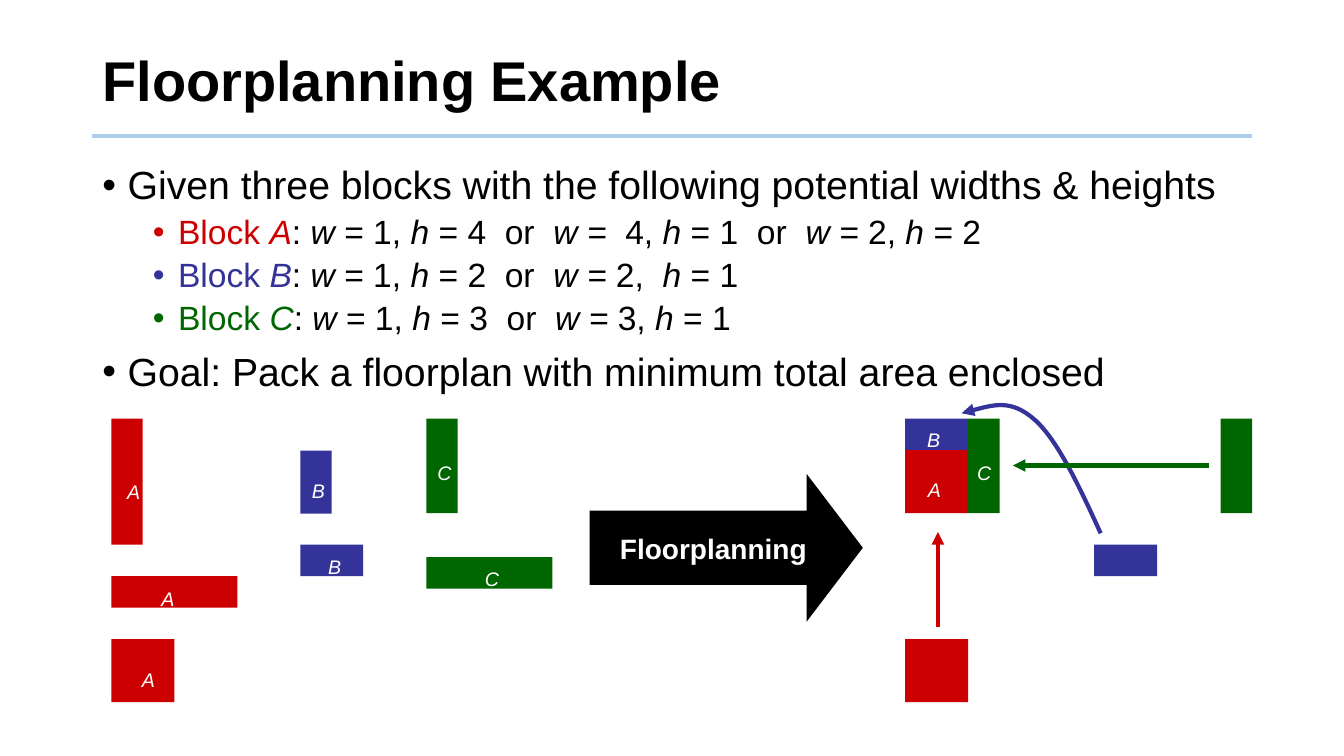
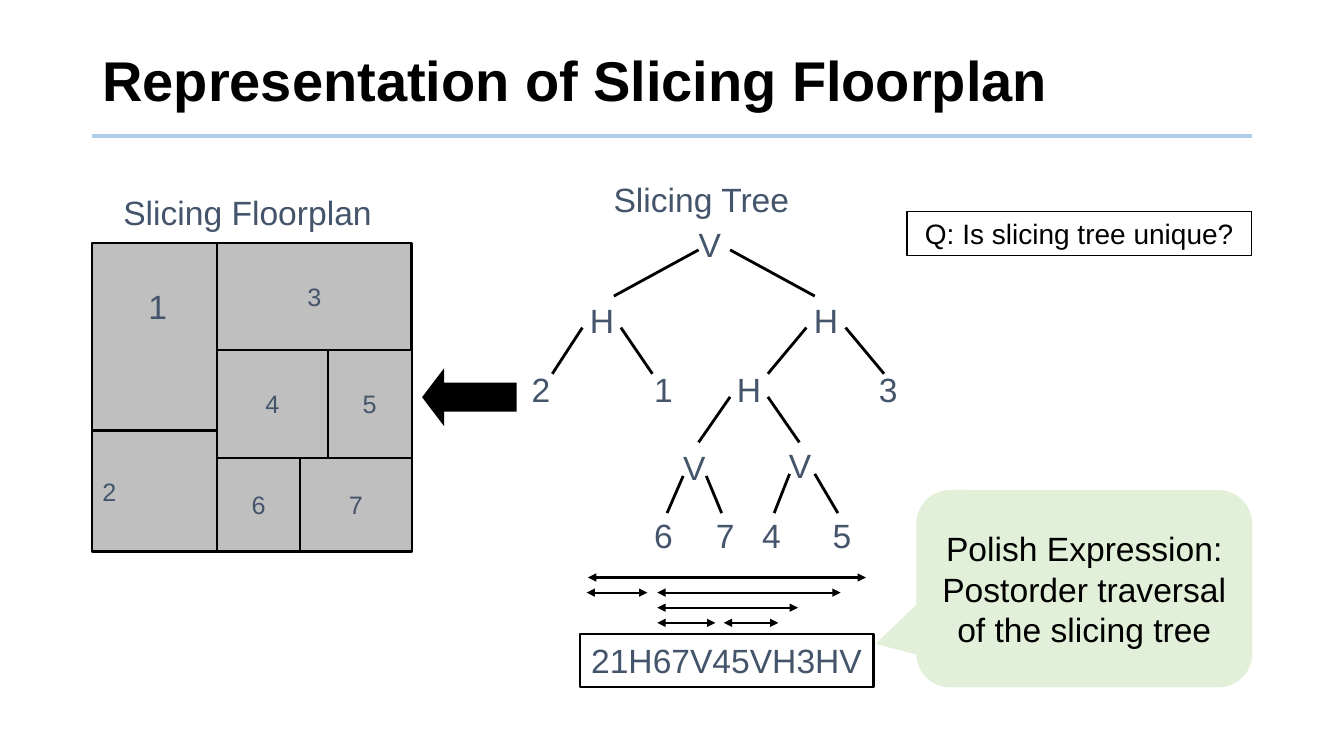
from lxml import etree
from pptx import Presentation
from pptx import util as u
from pptx.dml.color import RGBColor
from pptx.enum import shapes, text
from pptx.oxml import ns

BLACK = RGBColor(0x00, 0x00, 0x00)
WHITE = RGBColor(0xFF, 0xFF, 0xFF)
RED = RGBColor(0xCC, 0x00, 0x00)
BLUE = RGBColor(0x33, 0x33, 0x99)
GREEN = RGBColor(0x00, 0x66, 0x00)
SLATE = RGBColor(0x44, 0x54, 0x6A)
GRAY = RGBColor(0xBF, 0xBF, 0xBF)
MINT = RGBColor(0xE2, 0xF0, 0xD9)
RULE = RGBColor(0xAD, 0xCD, 0xEA)

FONT = "Arial"
LEFT, WIDTH = 66, 828
UNIT = 22.5
COLORS = {"A": RED, "B": BLUE, "C": GREEN}
KIND = shapes.MSO_SHAPE
ALIGN = text.PP_ALIGN
ANCHOR = text.MSO_ANCHOR


def write(para, words, size=24, color=BLACK, bold=False, italic=False):
    span = para.add_run()
    span.text = words
    span.font.name = FONT
    span.font.size = u.Pt(size)
    span.font.bold = bold
    span.font.italic = italic
    span.font.color.rgb = color


class Deck:
    def __init__(self):
        self.deck = Presentation()
        self.deck.slide_width = u.Pt(960)
        self.deck.slide_height = u.Pt(540)
        self.page = None

    def add_page(self, title, layout):
        self.page = self.deck.slides.add_slide(self.deck.slide_layouts[layout])
        self.line((LEFT, 97.2), (LEFT + WIDTH, 97.2), RULE, 3)
        frame = self.place(self.page.shapes.title, 20, 79)
        frame.vertical_anchor = ANCHOR.MIDDLE
        para = frame.paragraphs[0]
        para.alignment = ALIGN.LEFT
        para.line_spacing = 0.9
        write(para, title, size=40, bold=True)

    def place(self, holder, top, height):
        holder.left, holder.top = u.Pt(LEFT), u.Pt(top)
        holder.width, holder.height = u.Pt(WIDTH), u.Pt(height)
        holder.text_frame.auto_size = text.MSO_AUTO_SIZE.NONE
        return holder.text_frame

    def bullets(self, items):
        frame = self.place(self.page.placeholders[1], 115, 371)
        for index, (level, spans) in enumerate(items):
            para = frame.paragraphs[0] if index == 0 else frame.add_paragraph()
            para.level = level
            props = para._p.get_or_add_pPr()
            props.set("marL", str(u.Pt(18 + 36 * level)))
            props.set("indent", str(u.Pt(-18)))
            etree.SubElement(props, ns.qn("a:buChar"), char="•")
            para.line_spacing = 0.9
            para.space_before = u.Pt(0 if index == 0 else 10 - 5 * level)
            for words, style in spans:
                write(para, words, size=28 - 4 * level, **style)

    def shape(self, kind, left, top, width, height, fill=None, line=None,
              weight=1.5, words="", align=ALIGN.CENTER, inset=7.2,
              adjust=(), **style):
        box = self.page.shapes.add_shape(
            kind, u.Pt(left), u.Pt(top), u.Pt(width), u.Pt(height))
        box.shadow.inherit = False
        for index, value in enumerate(adjust):
            box.adjustments[index] = value
        if fill is None:
            box.fill.background()
        else:
            box.fill.solid()
            box.fill.fore_color.rgb = fill
        if line is None:
            box.line.fill.background()
        else:
            box.line.color.rgb = line
            box.line.width = u.Pt(weight)
        if words:
            frame = box.text_frame
            frame.word_wrap = True
            frame.vertical_anchor = ANCHOR.MIDDLE
            frame.margin_left = u.Pt(inset)
            frame.paragraphs[0].alignment = align
            write(frame.paragraphs[0], words, **style)

    def label(self, words, center, top, width=36, spacing=None, **style):
        box = self.page.shapes.add_textbox(
            u.Pt(center - width / 2), u.Pt(top), u.Pt(width), u.Pt(29))
        frame = box.text_frame
        frame.word_wrap = True
        frame.margin_left = frame.margin_right = 0
        frame.margin_top = frame.margin_bottom = 0
        para = frame.paragraphs[0]
        para.alignment = ALIGN.CENTER
        if spacing:
            para.line_spacing = u.Pt(spacing)
        write(para, words, **style)

    def block(self, name, left, top, columns, rows, offset=None):
        self.shape(KIND.RECTANGLE, left, top, columns * UNIT, rows * UNIT,
                   fill=COLORS[name])
        if offset:
            self.label(name, left + offset[0], top + offset[1], width=20,
                       spacing=23.5, size=14, color=WHITE, italic=True)

    def stroke(self, item, color, weight, ends):
        item.line.color.rgb = color
        item.line.width = u.Pt(weight)
        outline = item.element.spPr.find(ns.qn("a:ln"))
        for end in ends:
            etree.SubElement(outline, ns.qn(f"a:{end}End"), type="triangle")

    def line(self, start, stop, color=BLACK, weight=2, ends=()):
        item = self.page.shapes.add_connector(
            shapes.MSO_CONNECTOR.STRAIGHT, *(u.Pt(v) for v in start + stop))
        self.stroke(item, color, weight, ends)
        etree.SubElement(item.element.spPr, ns.qn("a:effectLst"))

    def curve(self, points, color, weight, ends=()):
        points = [(u.Pt(x), u.Pt(y)) for x, y in points]
        builder = self.page.shapes.build_freeform(*points[0])
        builder.add_line_segments(points[1:], close=False)
        item = builder.convert_to_shape()
        outline = item.element.spPr.find(".//" + ns.qn("a:path"))
        steps = outline.findall(ns.qn("a:lnTo"))
        for index in range(0, len(steps), 3):
            bend = etree.SubElement(outline, ns.qn("a:cubicBezTo"))
            for step in steps[index:index + 3]:
                bend.append(step[0])
                outline.remove(step)
        item.fill.background()
        self.stroke(item, color, weight, ends)
        item.shadow.inherit = False


def block_item(name, sizes):
    tint = {"color": COLORS[name]}
    spans = [("Block ", tint), (name, {"italic": True, **tint})]
    for index, words in enumerate((": " + sizes).split("*")):
        spans.append((words, {"italic": index % 2 == 1}))
    return 1, spans


def example_page(deck):
    deck.add_page("Floorplanning Example", 1)
    deck.bullets([
        (0, [("Given three blocks with the following potential widths & heights", {})]),
        block_item("A", "*w *= 1, *h *= 4  or  *w = * 4, *h *= 1  or  *w =* 2, *h *= 2"),
        block_item("B", "*w *= 1, *h *= 2  or  *w =* 2,  *h *= 1"),
        block_item("C", "*w* = 1, *h *= 3  or  *w =* 3, *h *= 1"),
        (0, [("Goal: Pack a floorplan with minimum total area enclosed", {})]),
    ])
    choice_a, choice_b, choice_c = 79.5, 214.5, 304.5
    packed, top = 646.5, 299
    for block in (
        ("A", choice_a, top, 1, 4, (16, 37)),
        ("A", choice_a, 411.5, 4, 1, (40.5, 1)),
        ("A", choice_a, 456.5, 2, 2, (26.5, 14)),
        ("B", choice_b, 322, 1, 2, (13, 13.5)),
        ("B", choice_b, 389, 2, 1, (24.5, 1)),
        ("C", choice_c, top, 1, 3, (13, 23.5)),
        ("C", choice_c, 398, 4, 1, (47, 0)),
        ("B", packed, top, 2, 1, (20.5, 0)),
        ("A", packed, top + UNIT, 2, 2, (21, 13)),
        ("C", packed + 2 * UNIT, top, 1, 3, (11.5, 23.5)),
        ("C", 872, top, 1, 3),
        ("B", 781.5, 389, 2, 1),
        ("A", packed, 456.5, 2, 2),
    ):
        deck.block(*block)
    deck.line((670, 448), (670, 380), RED, 3, ["tail"])
    deck.curve([(786.2, 380.9), (771.1, 347.8), (755.3, 313.9), (738.7, 299.5),
                (722.2, 285.1), (704.9, 290.2), (686.9, 295.2)], BLUE, 3, ["tail"])
    deck.line((863.5, 332.5), (723.5, 332.5), GREEN, 3, ["tail"])
    deck.shape(KIND.RIGHT_ARROW, 421.2, 338.4, 195.1, 105.8, fill=BLACK,
               adjust=(0.5, 0.38), words="Floorplanning", align=ALIGN.LEFT,
               inset=21.6, size=20, color=WHITE, bold=True)


def slicing_page(deck):
    deck.add_page("Representation of Slicing Floorplan", 5)
    x = (66, 155, 214.5, 234, 294)
    y = (173.5, 250, 307.5, 327, 394)
    for name, left, top, right, bottom, align in (
        ("", 0, 0, 1, 2, ALIGN.CENTER),
        ("2", 0, 2, 1, 4, ALIGN.LEFT),
        ("3", 1, 0, 4, 1, ALIGN.CENTER),
        ("4", 1, 1, 3, 3, ALIGN.CENTER),
        ("5", 3, 1, 4, 3, ALIGN.CENTER),
        ("6", 1, 3, 2, 4, ALIGN.CENTER),
        ("7", 2, 3, 4, 4, ALIGN.CENTER),
    ):
        deck.shape(KIND.RECTANGLE, x[left], y[top], x[right] - x[left],
                   y[bottom] - y[top], fill=GRAY, line=BLACK, words=name,
                   align=align, size=18, color=SLATE)
    for words, center, top in (("Slicing Floorplan", 176.8, 136.8),
                               ("Slicing Tree", 501, 127.5)):
        deck.label(words, center, top, width=200, color=SLATE)
    deck.label("1", 112.7, 204.5, color=SLATE)

    tree = (
        (160, (("V", 507),)),
        (214, (("H", 430), ("H", 590))),
        (263.5, (("2", 386.5), ("1", 474), ("H", 535), ("3", 634.5))),
        (319.5, (("V", 496),)),
        (318, (("V", 571.5),)),
        (368, (("6", 474), ("7", 518), ("4", 551), ("5", 601.5))),
    )
    for top, nodes in tree:
        for name, center in nodes:
            deck.label(name, center, top, color=SLATE)
    branches = (
        (178.5, 211.5, ((499, 438.5), (521.5, 582))),
        (234, 267, ((416, 394.5), (443.5, 466), (576, 548.5), (604, 631.5))),
        (283.5, 316, ((521.5, 499), (548.5, 571))),
        (340, 366.5, ((488, 476.5), (504.5, 515.5))),
        (338.5, 366.5, ((564, 553), (582, 598.5))),
    )
    for top, bottom, pairs in branches:
        for start, stop in pairs:
            deck.line((start, top), (stop, bottom))

    ranges = (
        ((420, 618.5),),
        ((419, 462.5), (469.5, 600.5)),
        ((469.5, 570),),
        ((469.5, 511), (517, 556)),
    )
    for row, pairs in enumerate(ranges):
        level = 412.5 + 10.8 * row
        for start, stop in pairs:
            deck.line((start, level), (stop, level), weight=1.5,
                      ends=["head", "tail"])
    deck.shape(KIND.RECTANGLE, 414, 453, 210, 37.5, line=BLACK,
               words="21H67V45VH3HV", color=SLATE)
    deck.shape(KIND.ROUNDED_RECTANGULAR_CALLOUT, 655, 350.5, 239, 140,
               fill=MINT, line=MINT, weight=1, adjust=(-0.62, 0.28, 0.17),
               words="Polish Expression: Postorder traversal of the slicing tree")
    deck.shape(KIND.LEFT_ARROW, 301.5, 263, 67.5, 41.5, fill=BLACK,
               adjust=(0.5, 0.38))
    deck.shape(KIND.RECTANGLE, 648, 151, 246, 31.5, fill=WHITE, line=BLACK,
               weight=1, words="Q: Is slicing tree unique?", size=20)


def main():
    deck = Deck()
    example_page(deck)
    slicing_page(deck)
    deck.deck.save("out.pptx")


if __name__ == "__main__":
    main()
